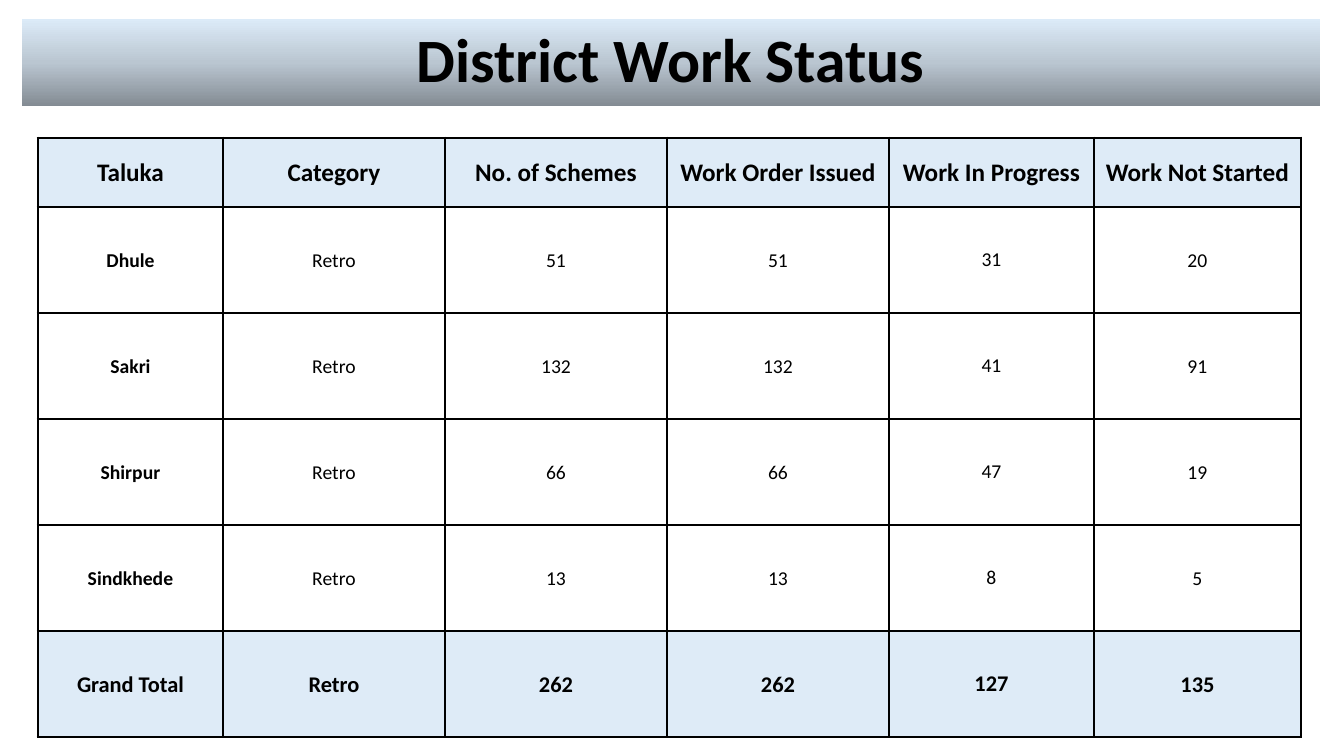
import copy

import pptx
import pptx.dml.color
import pptx.enum.text
import pptx.oxml
import pptx.oxml.ns
import pptx.util

RGBColor = pptx.dml.color.RGBColor
BLACK = RGBColor(0x00, 0x00, 0x00)
PALE_BLUE = RGBColor(0xDE, 0xEB, 0xF7)
BANNER_STOPS = [
    (0.0, RGBColor(0x83, 0x8B, 0x93)),
    (0.5, RGBColor(0xBA, 0xC6, 0xD1)),
    (1.0, RGBColor(0xDC, 0xEB, 0xF8)),
]
FONT = "Calibri"
THIN, THICK = 1, 2.25

COL_WIDTHS = [185, 222, 222, 222, 205, 207]
HEADER_HEIGHT, ROW_HEIGHT = 69, 106
ROWS = [
    ["Taluka", "Category", "No. of Schemes", "Work Order Issued",
     "Work In Progress", "Work Not Started"],
    ["Dhule", "Retro", "51", "51", "31", "20"],
    ["Sakri", "Retro", "132", "132", "41", "91"],
    ["Shirpur", "Retro", "66", "66", "47", "19"],
    ["Sindkhede", "Retro", "13", "13", "8", "5"],
    ["Grand Total", "Retro", "262", "262", "127", "135"],
]
LAST_ROW, LAST_COL = len(ROWS) - 1, len(COL_WIDTHS) - 1
PROGRESS_COL = 4


def px(n):
    return pptx.util.Inches(n / 100.8)


def format_paragraph(p, size, bold):
    p.alignment = pptx.enum.text.PP_ALIGN.CENTER
    for r in p.runs:
        r.font.name = FONT
        r.font.size = pptx.util.Pt(size)
        r.font.bold = bold
        r.font.color.rgb = BLACK


def set_gradient(fill, stops, angle):
    fill.gradient()
    fill.gradient_angle = angle
    gs_lst = fill.gradient_stops[0]._gs.getparent()
    while len(gs_lst) < len(stops):
        gs_lst.append(copy.deepcopy(gs_lst[0]))
    for stop, (position, color) in zip(fill.gradient_stops, stops):
        stop.position = position
        stop.color.rgb = color


def add_banner_title(slide, text, left, top, width, height):
    sp = slide.shapes.title
    sp.left, sp.top, sp.width, sp.height = map(px, (left, top, width, height))
    set_gradient(sp.fill, BANNER_STOPS, 90)
    tf = sp.text_frame
    tf.text = text
    tf.auto_size = pptx.enum.text.MSO_AUTO_SIZE.NONE
    tf.vertical_anchor = pptx.enum.text.MSO_ANCHOR.MIDDLE
    p = tf.paragraphs[0]
    p.line_spacing = 0.9
    format_paragraph(p, 44, True)


def set_borders(cell, widths):
    tc_pr = cell._tc.get_or_add_tcPr()
    for side, width in widths.items():
        tc_pr.append(pptx.oxml.parse_xml(
            f'<a:ln{side} {pptx.oxml.ns.nsdecls("a")} w="{pptx.util.Pt(width)}">'
            f'<a:solidFill><a:srgbClr val="{BLACK}"/></a:solidFill></a:ln{side}>'))


def format_cell(cell, row, col):
    is_band = row in (0, LAST_ROW)
    size = {0: 18, LAST_ROW: 16}.get(row, 14)
    # Thick lines frame the table, the header and the total
    set_borders(cell, {
        "L": THICK if col == 0 else THIN,
        "R": THICK if col == LAST_COL else THIN,
        "T": THICK if row in (0, 1, LAST_ROW) else THIN,
        "B": THICK if row in (0, LAST_ROW - 1, LAST_ROW) else THIN,
    })
    if is_band:
        cell.fill.solid()
        cell.fill.fore_color.rgb = PALE_BLUE
    else:
        cell.fill.background()
    side, top, bottom = (3, 2, 2) if col == PROGRESS_COL and row else (1, 1, 0)
    cell.margin_left = cell.margin_right = px(side)
    cell.margin_top, cell.margin_bottom = px(top), px(bottom)
    cell.vertical_anchor = pptx.enum.text.MSO_ANCHOR.MIDDLE
    format_paragraph(cell.text_frame.paragraphs[0], size, is_band or col == 0)


def add_status_table(slide, left, top):
    heights = [HEADER_HEIGHT] + [ROW_HEIGHT] * LAST_ROW
    table = slide.shapes.add_table(
        len(ROWS), len(COL_WIDTHS), px(left), px(top),
        px(sum(COL_WIDTHS)), px(sum(heights))).table
    table.first_row = table.horz_banding = False
    for column, width in zip(table.columns, COL_WIDTHS):
        column.width = px(width)
    for table_row, height in zip(table.rows, heights):
        table_row.height = px(height)
    for row, values in enumerate(ROWS):
        for col, value in enumerate(values):
            cell = table.cell(row, col)
            cell.text_frame.text = value
            format_cell(cell, row, col)


def main():
    prs = pptx.Presentation()
    prs.slide_width, prs.slide_height = px(1344), px(756)
    slide = prs.slides.add_slide(prs.slide_layouts[5])
    add_banner_title(slide, "District Work Status", 22, 19, 1298, 87)
    add_status_table(slide, 38, 138)
    prs.save("out.pptx")


if __name__ == "__main__":
    main()
